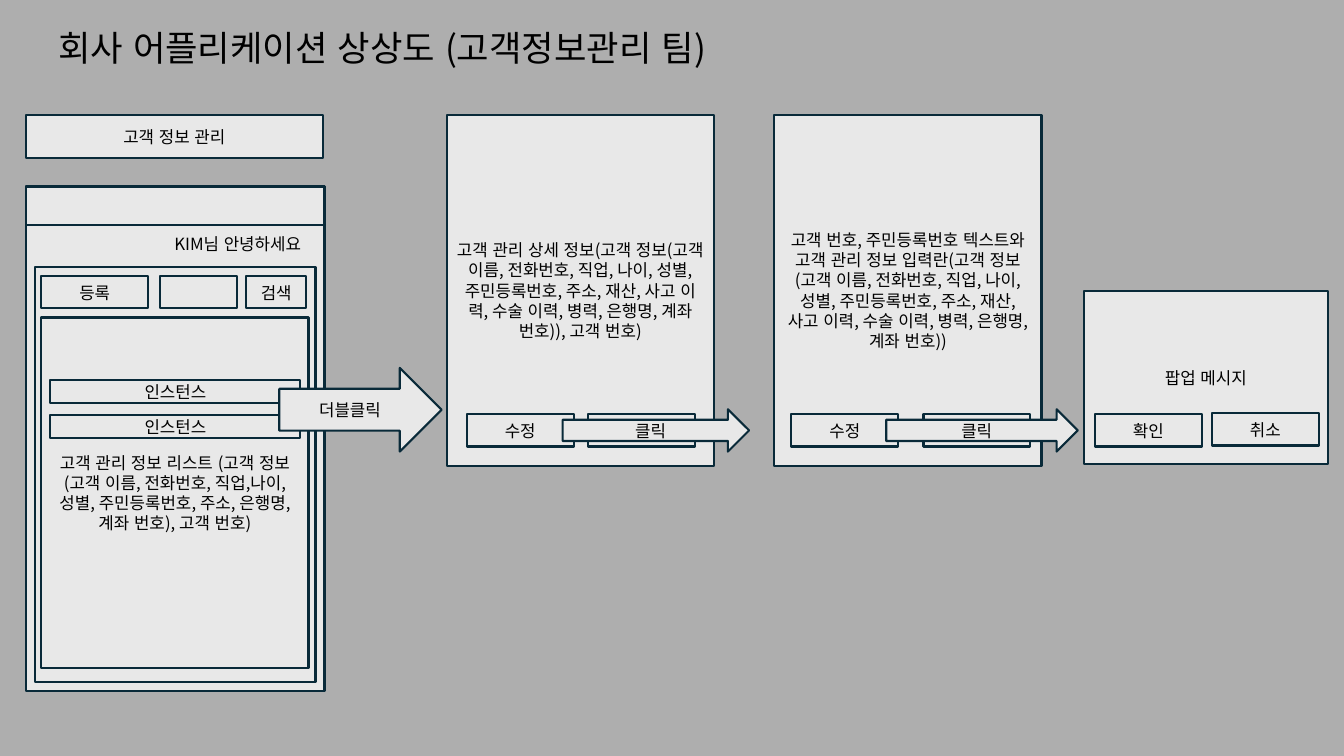
from lxml.etree import SubElement
from pptx import Presentation
from pptx.dml.color import RGBColor
from pptx.enum.lang import MSO_LANGUAGE_ID as Lang
from pptx.enum.shapes import MSO_SHAPE as Shape
from pptx.enum.text import MSO_ANCHOR as Anchor, PP_ALIGN as Align
from pptx.oxml.ns import qn
from pptx.util import Pt

PX = 9144
GREY = RGBColor(0xAE, 0xAE, 0xAE)
PALE = RGBColor(0xE8, 0xE8, 0xE8)
NAVY = RGBColor(0x09, 0x2A, 0x39)
BLACK = RGBColor(0, 0, 0)
FACE = "Noto Sans CJK KR"
BTN = (106, 32)


def emu(*nums):
    """Turn px lengths into EMU."""
    return [n * PX for n in nums]


def write(item, text, size=12, align=Align.CENTER, anchor=Anchor.MIDDLE, space=None):
    """Put one formatted paragraph into a shape."""
    frame = item.text_frame
    frame.word_wrap = True
    frame.vertical_anchor = anchor
    para = frame.paragraphs[0]
    for key, val in {"alignment": align, "line_spacing": space}.items():
        setattr(para, key, val)
    run = para.add_run()
    run.text = text
    looks = {"name": FACE, "size": Pt(size), "language_id": Lang.KOREAN}
    for key, val in looks.items():
        setattr(run.font, key, val)
    run.font.color.rgb = BLACK
    SubElement(run._r.get_or_add_rPr(), qn("a:ea"), typeface=FACE)


def box(slide, x, y, w, h, text="", kind=Shape.RECTANGLE):
    """Draw an outlined pale shape with an optional label."""
    item = slide.shapes.add_shape(kind, *emu(x, y, w, h))
    item.shadow.inherit = False
    item.fill.solid()
    item.fill.fore_color.rgb = PALE
    item.line.color.rgb = NAVY
    item.line.width = Pt(1.5)
    if text:
        write(item, text)


def label(slide, x, y, w, h, text, **looks):
    """Place plain text."""
    write(slide.shapes.add_textbox(*emu(x, y, w, h)), text, **looks)


def arrow(slide, x, y, w, h, text):
    """Draw a labelled arrow to the right."""
    box(slide, x, y, w, h, text, Shape.RIGHT_ARROW)


def phone(slide, x, y, w, h):
    """Draw the list screen with its buttons and rows."""
    box(slide, x, y, w, h)
    box(slide, x, y, w, 38)
    box(slide, x + 9, y + 80, w - 18, h - 89)
    label(slide, x + 137, y + 42, 161, 30, "KIM님 안녕하세요",
          align=Align.LEFT, anchor=Anchor.TOP)
    box(slide, x + 15, y + 130, 265, 348,
        "고객 관리 정보 리스트 (고객 정보(고객 이름, 전화번호, 직업,나이, 성별, "
        "주민등록번호, 주소, 은행명, 계좌 번호), 고객 번호)")
    for dx, wide, text in ((15, 106, "등록"), (218, 60, "검색"), (133, 76, "")):
        box(slide, x + dx, y + 89, wide, 32, text)
    for row in range(2):
        box(slide, x + 24, y + 192 + 35 * row, 248, 23, "인스턴스")
    arrow(slide, x + 251, y + 180, 161, 83, "더블클릭")


def card(slide, x, y, w, h, text, edit, blank, click):
    """Draw a detail screen with two buttons and a click arrow."""
    box(slide, x, y, w, h, text)
    for dx, name in ((edit, "수정"), (blank, "")):
        box(slide, x + dx, y + 297, *BTN, name)
    dx, wide = click
    arrow(slide, x + dx, y + 292, wide, 42, "클릭")


def popup(slide, x, y, w, h):
    """Draw the message window with its two buttons."""
    box(slide, x, y, w, h, "팝업 메시지")
    for dx, dy, name in ((11, 122, "확인"), (127, 121, "취소")):
        box(slide, x + dx, y + dy, *BTN, name)


def main():
    """Build and save the slide."""
    deck = Presentation()
    deck.slide_width, deck.slide_height = emu(1333, 750)
    slide = deck.slides.add_slide(deck.slide_layouts[6])
    back = slide.background.fill
    back.solid()
    back.fore_color.rgb = GREY
    label(slide, 14, 13, 730, 61, "회사 어플리케이션 상상도 (고객정보관리 팀)",
          size=25.2, anchor=Anchor.BOTTOM, space=0.9)
    box(slide, 26, 114, 294, 43, "고객 정보 관리")
    phone(slide, 26, 185, 296, 501)
    facts = ("(고객 정보(고객 이름, 전화번호, 직업, 나이, 성별, 주민등록번호, 주소, "
             "재산, 사고 이력, 수술 이력, 병력, 은행명, 계좌 번호))")
    card(slide, 443, 114, 265, 348, f"고객 관리 상세 정보{facts}, 고객 번호)",
         20, 140, (115, 185))
    card(slide, 768, 114, 265, 348,
         f"고객 번호, 주민등록번호 텍스트와 고객 관리 정보 입력란{facts}",
         17, 148, (111, 190))
    popup(slide, 1075, 289, 242, 171)
    deck.save("out.pptx")


if __name__ == "__main__":
    main()
